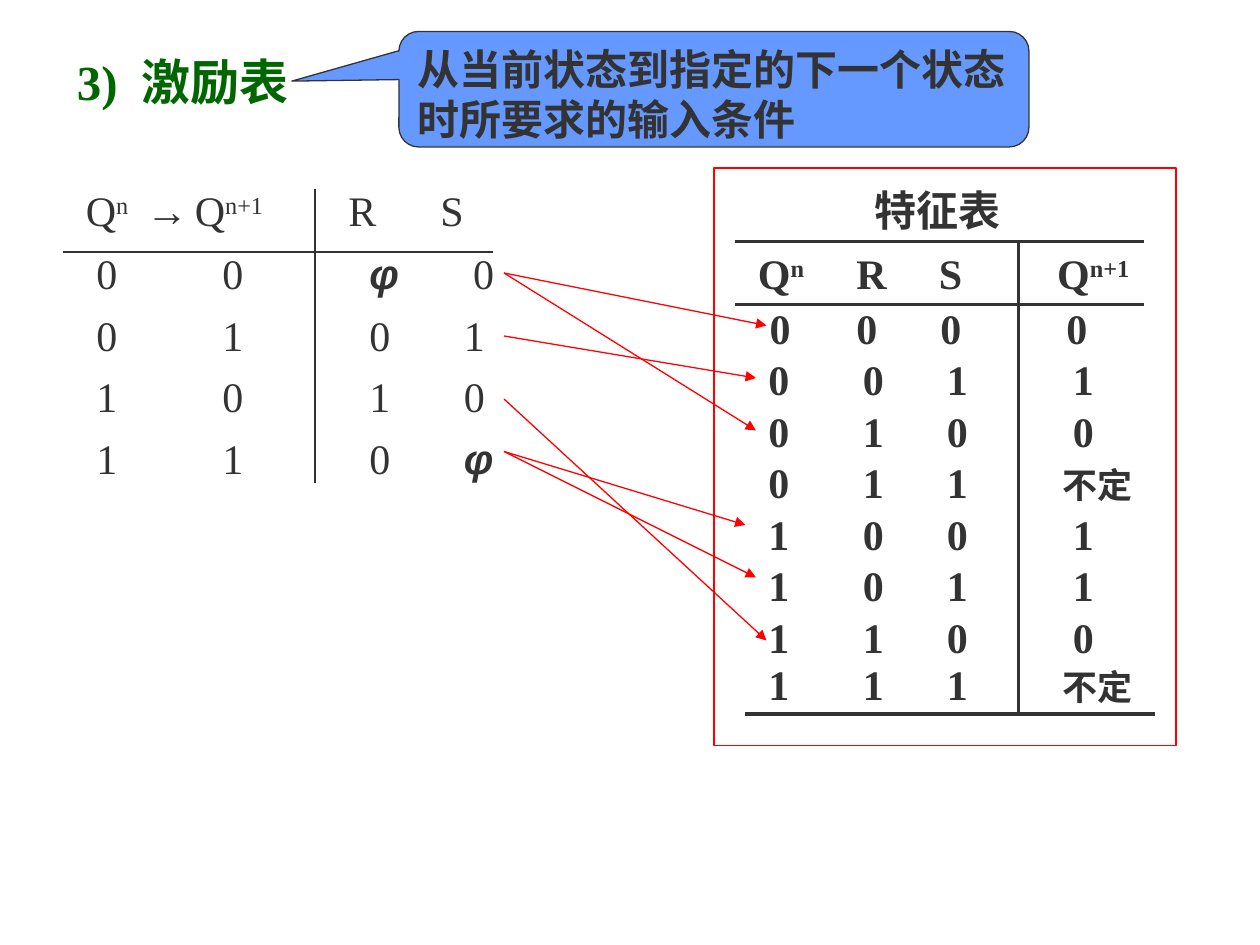
from pptx import Presentation
from pptx import util as u
from pptx.dml.color import RGBColor
from pptx.enum import shapes, text
from pptx.oxml.ns import qn
from lxml import etree

PX = 9525
COLORS = {"ink": "333333", "title": "006600", "callout": "6699FF", "accent": "FF0000"}
SERIF, SANS, SYMBOL = "Times New Roman", "Noto Sans CJK SC", "Arial"


def px(*lengths):
    """Turn pixel lengths into EMU."""
    return [u.Emu(length * PX) for length in lengths]


def color(name):
    """Look up a named colour."""
    return RGBColor.from_string(COLORS[name])


def style(span, size=24, face=SERIF, ink="ink", bold=True):
    """Format one run."""
    span.font.size = u.Pt(size)
    span.font.name = face
    span.font.bold = bold
    span.font.color.rgb = color(ink)


def set_tabs(para, stops):
    """Give a paragraph left tab stops in pixels."""
    tabs = etree.SubElement(para._p.get_or_add_pPr(), qn("a:tabLst"))
    for stop in stops:
        etree.SubElement(tabs, qn("a:tab"), pos=str(stop * PX), algn="l")


def add_line(page, start, end, ink="ink", width=0.75, arrow=False):
    """Draw a straight line, with an arrowhead at its end if asked."""
    line = page.shapes.add_connector(shapes.MSO_CONNECTOR.STRAIGHT, *px(*start, *end))
    line.line.color.rgb = color(ink)
    line.line.width = u.Pt(width)
    if arrow:
        etree.SubElement(line.line._get_or_add_ln(), qn("a:tailEnd"), type="triangle")
    etree.SubElement(line._element.spPr, qn("a:effectLst"))


def add_rows(page, box, rows, bold, spacing):
    """Write tabbed rows; '|' parts the runs and '^' raises one."""
    frame = page.shapes.add_textbox(*px(*box)).text_frame
    frame.word_wrap = True
    for number, (row, stops) in enumerate(rows):
        para = frame.add_paragraph() if number else frame.paragraphs[0]
        set_tabs(para, stops)
        if number:
            para.line_spacing = spacing
            para.space_before = u.Pt(15)
        for piece in row.split("|"):
            span = para.add_run()
            span.text = piece.lstrip("^")
            style(span, 20 if piece == "不定" else 24,
                  SYMBOL if piece in ("φ", "→") else SERIF, bold=bold or piece == "φ")
            if piece == "φ":
                span.font.italic = True
            if piece.startswith("^"):
                span.font._element.set("baseline", "30000")
    return frame


def add_title(page, box):
    """Place the slide title."""
    title = page.shapes.title
    title.left, title.top, title.width, title.height = px(*box)
    frame = title.text_frame
    frame.text = "3)\t激励表"
    frame.auto_size = text.MSO_AUTO_SIZE.NONE
    frame.word_wrap = False
    frame.vertical_anchor = text.MSO_ANCHOR.MIDDLE
    para = frame.paragraphs[0]
    set_tabs(para, [49])
    para.alignment = text.PP_ALIGN.LEFT
    style(para.runs[0], 28, ink="title")


def add_callout(page, box):
    """Place the speech callout that explains the title."""
    callout = page.shapes.add_shape(shapes.MSO_SHAPE.ROUNDED_RECTANGULAR_CALLOUT, *px(*box))
    callout.shadow.inherit = False
    for index, value in enumerate((-0.67, -0.07, 0.17)):
        callout.adjustments[index] = value
    callout.fill.solid()
    callout.fill.fore_color.rgb = color("callout")
    callout.line.color.rgb = color("ink")
    callout.line.width = u.Pt(0.75)
    frame = callout.text_frame
    frame.text = "从当前状态到指定的下一个状态时所要求的输入条件"
    frame.vertical_anchor = text.MSO_ANCHOR.TOP
    frame.paragraphs[0].alignment = text.PP_ALIGN.LEFT
    style(frame.paragraphs[0].runs[0], face=SANS)


def add_excitation_table(page, left, top):
    """Place the excitation table with its two rules."""
    stops = [8, 104, 216, 288]
    rows = [("Q|^n|\t|→|\tQ|^n+1|\tR\tS", [46, 83, 200, 270]),
            ("\t0\t0\t|φ|\t0", [8, 104, 216, 295])]
    rows += [("\t" + "\t".join(row), stops) for row in ("0101", "1010")]
    rows.append(("\t1\t1\t0\t|φ", stops))
    add_rows(page, (left + 8, top, 336, 236), rows, False, 0.7)
    add_line(page, (left, top + 56), (left + 328, top + 56))
    add_line(page, (left + 192, top + 8), (left + 192, top + 232))


def add_characteristic_table(page, left, top):
    """Place the framed characteristic table with its caption and rules."""
    rows = [("Q|^n|\tR\tS\tQ|^n+1", [75, 138, 228]),
            ("\t0\t0\t0\t0", [9, 75, 139, 235])]
    for number, result in enumerate("10?110?", 1):
        inputs = "\t" + "\t".join(f"{number:03b}")
        known = result != "?"
        rows.append((f"{inputs}\t{result}" if known else f"{inputs}\t|不定",
                     [8, 80, 144, 240 if known else 232]))
    frame = add_rows(page, (left + 24, top + 56, 336, 358), rows, True, 0.5)
    frame.paragraphs[-1].space_before = u.Pt(12.5)
    for x, y in ((16, 56), (16, 104), (24, 416)):
        add_line(page, (left + x, top + y), (left + x + 312, top + y), width=2.25)
    add_line(page, (left + 232, top + 56), (left + 232, top + 416), width=2.25)

    border = page.shapes.add_shape(shapes.MSO_SHAPE.RECTANGLE, *px(left, top, 352, 440))
    border.shadow.inherit = False
    border.fill.background()
    border.line.color.rgb = color("accent")
    border.line.width = u.Pt(0.75)

    caption = page.shapes.add_textbox(*px(left + 113, top + 8, 115, 48)).text_frame
    caption.word_wrap = False
    caption.text = "特征表"
    style(caption.paragraphs[0].runs[0], face=SANS)


def add_links(page, left):
    """Join each excitation row to its characteristic rows."""
    links = {208: [(584, 248), (576, 328)], 256: [(576, 288)],
             304: [(584, 488)], 344: [(576, 440), (568, 400)]}
    for top, ends in links.items():
        for end in ends:
            add_line(page, (left, top), end, "accent", arrow=True)


def main():
    """Build and save the deck."""
    deck = Presentation()
    deck.slide_width, deck.slide_height = px(960, 720)
    page = deck.slides.add_slide(deck.slide_layouts[5])
    add_excitation_table(page, 48, 136)
    add_title(page, (49, 42, 189, 40))
    add_callout(page, (304, 24, 480, 88))
    add_characteristic_table(page, 544, 128)
    add_links(page, 384)
    deck.save("out.pptx")


if __name__ == "__main__":
    main()
